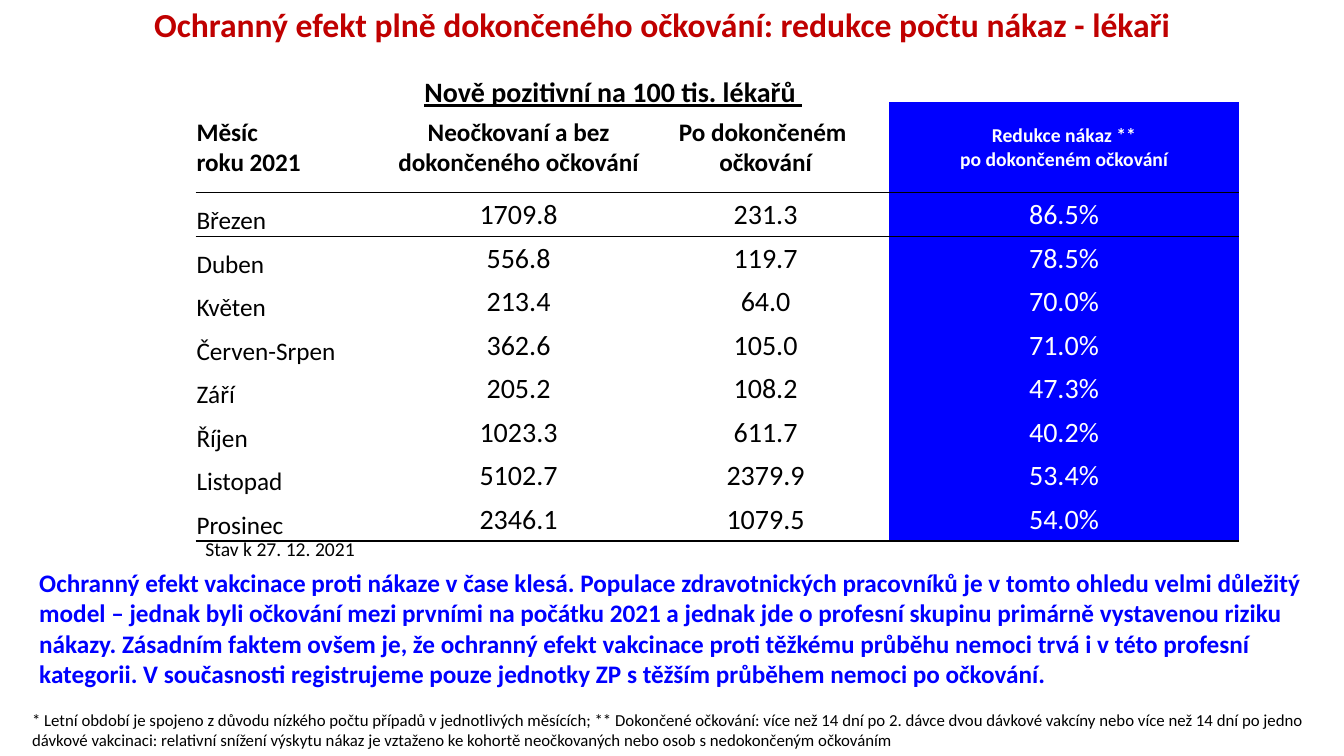
from pptx import Presentation
from pptx.dml.color import RGBColor
from pptx.enum.text import MSO_ANCHOR, PP_ALIGN
from pptx.oxml import parse_xml
from pptx.oxml.ns import nsdecls
from pptx.util import Inches, Pt

LEFT, CENTER = PP_ALIGN.LEFT, PP_ALIGN.CENTER
MIDDLE, BOTTOM = MSO_ANCHOR.MIDDLE, MSO_ANCHOR.BOTTOM
BLACK, WHITE, RED, BLUE = "000000", "FFFFFF", "C00000", "0000FF"
NO_TABLE_STYLE = "{2D5ABB26-0587-4C30-8999-92F81FD0307C}"

HEADERS = ["Měsíc\nroku 2021", "Neočkovaní a bez dokončeného očkování",
           "Po dokončeném \nočkování", "Redukce nákaz **\npo dokončeném očkování"]
MONTHS = [
    ("Březen", "1709.8", "231.3", "86.5%"),
    ("Duben", "556.8", "119.7", "78.5%"),
    ("Květen", "213.4", "64.0", "70.0%"),
    ("Červen-Srpen", "362.6", "105.0", "71.0%"),
    ("Září", "205.2", "108.2", "47.3%"),
    ("Říjen", "1023.3", "611.7", "40.2%"),
    ("Listopad", "5102.7", "2379.9", "53.4%"),
    ("Prosinec", "2346.1", "1079.5", "54.0%"),
]
SUMMARY = (
    "Ochranný efekt vakcinace proti nákaze v čase klesá. Populace zdravotnických pracovníků je "
    "v tomto ohledu velmi důležitý model – jednak byli očkování mezi prvními na počátku 2021 a "
    "jednak jde o profesní skupinu primárně vystavenou riziku nákazy. Zásadním faktem ovšem je, "
    "že ochranný efekt vakcinace proti těžkému průběhu nemoci trvá i v této profesní kategorii. "
    "V současnosti registrujeme pouze jednotky ZP s těžším průběhem nemoci po očkování."
)
FOOTNOTE = (
    "* Letní období je spojeno z důvodu nízkého počtu případů v jednotlivých měsících; "
    "** Dokončené očkování: více než 14 dní po 2. dávce dvou dávkové vakcíny nebo více než 14 dní "
    "po jedno dávkové vakcinaci: relativní snížení výskytu nákaz je vztaženo ke kohortě "
    "neočkovaných nebo osob s nedokončeným očkováním"
)


def color(value):
    return RGBColor.from_string(value)


class SlideBuilder:
    font = "Calibri"

    def __init__(self, deck):
        self.deck = deck
        self.page = deck.slides.add_slide(deck.slide_layouts[6])

    def across(self, percent):
        return round(self.deck.slide_width * percent / 100)

    def down(self, percent):
        return round(self.deck.slide_height * percent / 100)

    def typeset(self, frame, text, size, ink, bold=False, align=LEFT, underline=None, spacing=None):
        frame.text = text
        for para in frame.paragraphs:
            para.alignment = align
            para.line_spacing = spacing
            for span in para.runs:
                span.font.name = self.font
                span.font.size = Pt(size)
                span.font.bold = bold
                span.font.underline = underline
                span.font.color.rgb = color(ink)

    def text(self, left, top, width, height, text, size, ink, **style):
        box = self.page.shapes.add_textbox(
            self.across(left), self.down(top), self.across(width), self.down(height))
        box.text_frame.word_wrap = True
        self.typeset(box.text_frame, text, size, ink, **style)

    def table(self, left, top, widths, heights):
        frame = self.page.shapes.add_table(
            len(heights), len(widths), self.across(left), self.down(top),
            self.across(sum(widths)), self.down(sum(heights)))
        frame._element.xpath(".//a:tableStyleId")[0].text = NO_TABLE_STYLE
        table = frame.table
        table.first_row = table.horz_banding = False
        for column, width in zip(table.columns, widths):
            column.width = self.across(width)
        for row, height in zip(table.rows, heights):
            row.height = self.down(height)
        return table

    def cell(self, cell, text, size, ink, anchor=MIDDLE, fill=None, rules=(), **style):
        cell.margin_left = cell.margin_right = cell.margin_top = Inches(0.01)
        cell.margin_bottom = 0
        cell.vertical_anchor = anchor
        self.typeset(cell.text_frame, text, size, ink, **style)
        for side in rules:
            cell._tc.get_or_add_tcPr().append(parse_xml(
                f'<a:ln{side} {nsdecls("a")} w="{Pt(1)}"><a:solidFill>'
                f'<a:srgbClr val="{BLACK}"/></a:solidFill></a:ln{side}>'))
        if fill:
            cell.fill.solid()
            cell.fill.fore_color.rgb = color(fill)
        else:
            cell.fill.background()


def main():
    deck = Presentation()
    deck.slide_width, deck.slide_height = Inches(13.33), Inches(7.5)
    slide = SlideBuilder(deck)

    slide.text(1.65, 0.53, 95.25, 19.33,
               "Ochranný efekt plně dokončeného očkování: redukce počtu nákaz - lékaři",
               24, RED, bold=True, align=CENTER, spacing=0.9)
    slide.text(29.03, 9.2, 33.23, 5.87, "Nově pozitivní na 100 tis. lékařů ",
               20, BLACK, bold=True, align=CENTER, underline=True)
    slide.text(1.65, 93.2, 97.43, 6.67, FOOTNOTE, 12, BLACK)

    table = slide.table(14.55, 7.73, [14.85, 18.38, 18.38, 26.03],
                        [5.76, 12] + [5.76] * len(MONTHS))
    table.cell(0, 2).merge(table.cell(0, 3))
    for column, header in enumerate(HEADERS):
        first, last = column == 0, column == len(HEADERS) - 1
        align = LEFT if first else CENTER
        ink, fill = (WHITE, BLUE) if last else (BLACK, None)
        slide.cell(table.cell(1, column), header, 14 if last else 18, ink,
                   fill=fill, rules="B", bold=True, align=align)
        for row, month in enumerate(MONTHS, 2):
            rules = "T" if row == 2 else "B" if month is MONTHS[-1] else ""
            slide.cell(table.cell(row, column), month[column], 18 if first else 20, ink,
                       anchor=BOTTOM if first else MIDDLE, fill=fill, rules=rules, align=align)

    slide.text(14.55, 70.4, 16.58, 4.53, "Stav k 27. 12. 2021", 14, BLACK)
    slide.text(2.18, 74.4, 96.53, 17.47, SUMMARY, 18, BLUE, bold=True)
    deck.save("out.pptx")


if __name__ == "__main__":
    main()
